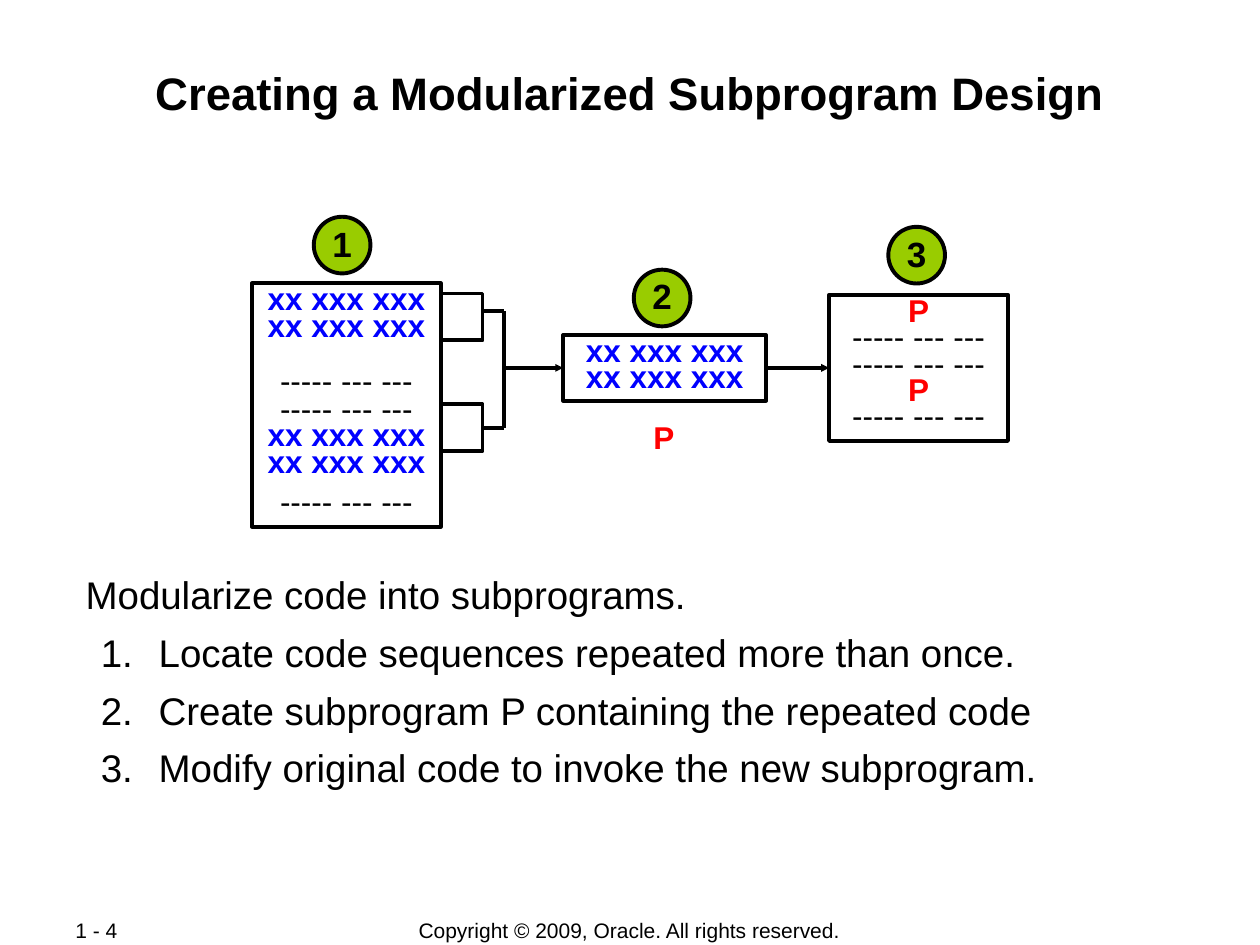
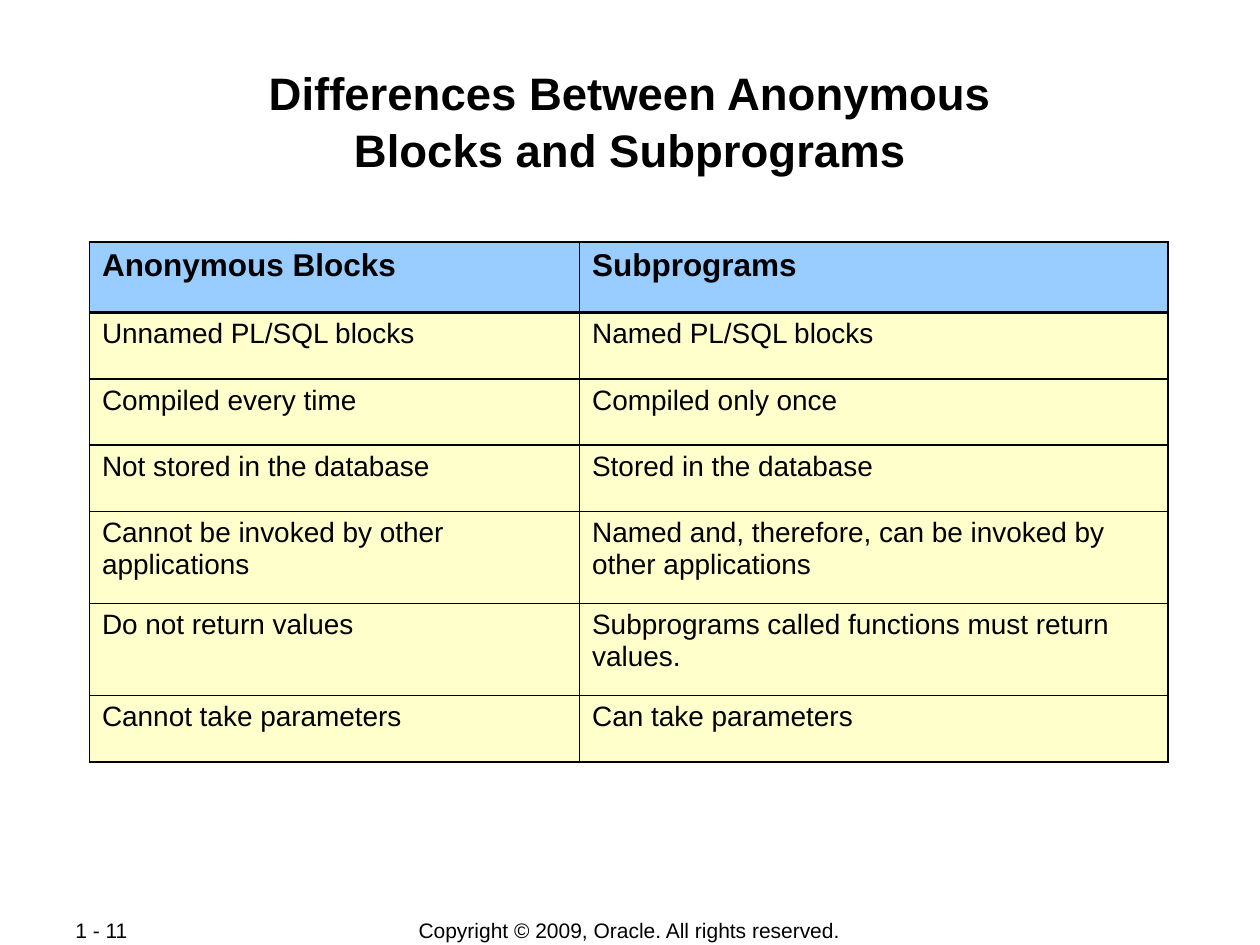
from dataclasses import dataclass

from lxml.etree import SubElement
from pptx import Presentation
from pptx.dml.color import RGBColor
from pptx.enum.shapes import MSO_CONNECTOR, MSO_SHAPE
from pptx.enum.text import MSO_ANCHOR, MSO_AUTO_SIZE, PP_ALIGN
from pptx.oxml.ns import qn
from pptx.util import Emu, Inches, Pt


@dataclass(frozen=True)
class Theme:
    font: str = "Arial"
    ink: str = "000000"
    code: str = "0000FF"
    call: str = "FF0000"
    badge: str = "99CC00"
    header: str = "99CCFF"
    row: str = "FFFFCC"
    title_size: float = 26
    body_size: float = 22
    badge_size: float = 20
    label_size: float = 18
    cell_size: float = 16
    footer_size: float = 12
    line: float = 2.25
    thin_line: float = 1.08


THEME = Theme()
TITLE_BOX = (0.67, 0.49, 8.66, 0.96)
COPYRIGHT_BOX = (2.75, 7.28, 4.49, 0.21)
NUMBER_BOX = (0.5, 7.28, 1.06, 0.21)
COPYRIGHT = "Copyright © 2009, Oracle. All rights reserved."

REPEATED, OTHER, CALL = "xx xxx xxx", "----- --- ---", "P"
CODE_COLORS = {REPEATED: THEME.code, OTHER: THEME.ink, CALL: THEME.call}


# Shared helpers

def color(value):
    return RGBColor.from_string(value)


def within(box, left, top, width, height):
    """Turn lengths relative to a box into slide coordinates."""
    return (box[0] + left, box[1] + top, width, height)


def inches(box):
    return [Inches(length) for length in box]


def place(shape, box):
    shape.left, shape.top, shape.width, shape.height = inches(box)


def add_span(para, text, size, ink=THEME.ink, bold=False):
    span = para.add_run()
    span.text = text
    span.font.name = THEME.font
    span.font.size = Pt(size)
    span.font.bold = bold
    span.font.color.rgb = color(ink)
    return span


def set_frame(frame, side=0.1, ends=0.05, anchor=MSO_ANCHOR.TOP):
    frame.word_wrap = True
    frame.auto_size = MSO_AUTO_SIZE.NONE
    frame.vertical_anchor = anchor
    frame.margin_left = frame.margin_right = Inches(side)
    frame.margin_top = frame.margin_bottom = Inches(ends)


def outline(shape):
    shape.shadow.inherit = False
    shape.fill.background()
    shape.line.color.rgb = color(THEME.ink)
    shape.line.width = Pt(THEME.line)


def add_label(page, box, text, size, align, ink=THEME.ink, bold=False,
              ends=0.0, anchor=MSO_ANCHOR.MIDDLE):
    frame = page.shapes.add_textbox(*inches(box)).text_frame
    set_frame(frame, ends=ends, anchor=anchor)
    para = frame.paragraphs[0]
    para.alignment = align
    add_span(para, text, size, ink, bold)


def add_line(page, start, end, arrow=False):
    line = page.shapes.add_connector(MSO_CONNECTOR.STRAIGHT, *inches(start + end))
    line.line.color.rgb = color(THEME.ink)
    line.line.width = Pt(THEME.line)
    if arrow:
        SubElement(line.line._get_or_add_ln(), qn("a:tailEnd"),
                   type="triangle", w="sm", len="sm")
    SubElement(line._element.spPr, qn("a:effectLst"))
    return line


def add_page(deck, layout, title_lines, number):
    page = deck.slides.add_slide(deck.slide_layouts.get_by_name(layout))
    # Title
    title = page.shapes.title
    place(title, TITLE_BOX)
    set_frame(title.text_frame, 0.01, 0.01)
    para = title.text_frame.paragraphs[0]
    para.alignment = PP_ALIGN.CENTER
    para.line_spacing = 1.04
    for index, text in enumerate(title_lines):
        if index:
            para.add_line_break()
        add_span(para, text, THEME.title_size, bold=True)
    # Footer
    add_label(page, COPYRIGHT_BOX, COPYRIGHT, THEME.footer_size, PP_ALIGN.CENTER)
    add_label(page, NUMBER_BOX, number, THEME.footer_size, PP_ALIGN.LEFT)
    return page


# Subprogram diagram

def add_code_box(page, box, lines):
    """Each line is its text, line spacing and space before."""
    shape = page.shapes.add_shape(MSO_SHAPE.RECTANGLE, *inches(box))
    outline(shape)
    frame = shape.text_frame
    set_frame(frame)
    for index, (text, spacing, gap) in enumerate(lines):
        para = frame.add_paragraph() if index else frame.paragraphs[0]
        para.alignment = PP_ALIGN.CENTER
        para.line_spacing = spacing
        if gap:
            para.space_before = Pt(gap)
        add_span(para, text, THEME.label_size, CODE_COLORS[text], text != OTHER)
    return shape


def add_badge(page, box, text):
    badge = page.shapes.add_shape(MSO_SHAPE.OVAL, *inches(box))
    outline(badge)
    badge.fill.solid()
    badge.fill.fore_color.rgb = color(THEME.badge)
    set_frame(badge.text_frame, 0.05, 0.05, MSO_ANCHOR.MIDDLE)
    para = badge.text_frame.paragraphs[0]
    para.alignment = PP_ALIGN.CENTER
    para.line_spacing = 0.95
    add_span(para, text, THEME.badge_size, bold=True)


def add_bracket(page, box):
    left, top, width, height = box
    right, bottom = left + width, top + height
    builder = page.shapes.build_freeform(Inches(left), Inches(top))
    corners = [(right, top), (right, bottom), (left, bottom)]
    builder.add_line_segments([inches(corner) for corner in corners], close=False)
    outline(builder.convert_to_shape())


def add_diagram(page, box):
    left, top = box[:2]
    # Code before, extracted subprogram, code after
    add_code_box(page, within(box, 0, 0.53, 1.5, 1.93), [
        (REPEATED, 0.7, 0), (REPEATED, 0.7, 0), (OTHER, 0.8, 15), (OTHER, 0.7, 0),
        (REPEATED, 0.7, 0), (REPEATED, 0.7, 0), (OTHER, 1.1, 0)])
    subprogram = add_code_box(page, within(box, 2.47, 0.94, 1.61, 0.52),
                              [(REPEATED, 0.7, 0)] * 2)
    caller = add_code_box(page, within(box, 4.58, 0.62, 1.42, 1.16), [
        (text, 0.7, 0) for text in (CALL, OTHER, OTHER, CALL, OTHER)])
    add_label(page, within(box, 3.02, 1.55, 0.5, 0.4), CALL, THEME.label_size,
              PP_ALIGN.CENTER, THEME.call, True, 0.05, MSO_ANCHOR.TOP)
    # Brackets gathered by a spine
    spine, taps = left + 2, (top + 0.75, top + 1.68)
    for bracket_top, tap in zip((0.61, 1.49), taps):
        add_bracket(page, within(box, 1.5, bracket_top, 0.33, 0.37))
        add_line(page, (left + 1.83, tap), (spine, tap))
    add_line(page, (spine, taps[0]), (spine, taps[1]))
    # Arrows
    middle = top + 1.2
    gather = add_line(page, (spine, middle), (left + 2.47, middle), arrow=True)
    gather.end_connect(subprogram, 1)
    replace = add_line(page, (left + 4.08, middle), (left + 4.58, middle), arrow=True)
    replace.begin_connect(subprogram, 3)
    replace.end_connect(caller, 1)
    # Step badges
    for step, (x, y) in enumerate([(0.49, 0), (3.03, 0.42), (5.05, 0.08)], 1):
        add_badge(page, within(box, x, y, 0.45, 0.45), str(step))


def add_steps(page, box, intro, steps):
    body = page.placeholders[1]
    place(body, box)
    frame = body.text_frame
    set_frame(frame, 0.01, 0.01)
    for index, text in enumerate([intro] + steps):
        para = frame.add_paragraph() if index else frame.paragraphs[0]
        properties = para._p.get_or_add_pPr()
        if index:
            para.level = 1
            properties.set("marL", str(Inches(0.58)))
            properties.set("indent", str(Inches(-0.46)))
            SubElement(properties, qn("a:buFont"), typeface=THEME.font)
            SubElement(properties, qn("a:buAutoNum"), type="arabicPeriod")
        else:
            properties.set("marL", "0")
            properties.set("indent", "0")
            SubElement(properties, qn("a:buNone"))
        para.line_spacing = 1.04
        para.space_before = Pt(5.5 if index else 0)
        add_span(para, text, THEME.body_size)


# Comparison table

def set_borders(cell, top, bottom):
    properties = cell._tc.get_or_add_tcPr()
    widths = {"L": THEME.thin_line, "R": THEME.thin_line, "T": top, "B": bottom}
    for side, width in widths.items():
        line = SubElement(properties, qn(f"a:ln{side}"), w=str(Pt(width)))
        SubElement(SubElement(line, qn("a:solidFill")), qn("a:srgbClr"), val=THEME.ink)


def add_comparison(page, box, column_widths, row_heights, rows):
    table = page.shapes.add_table(len(rows), len(column_widths), *inches(box)).table
    for column, width in zip(table.columns, column_widths):
        column.width = Inches(width)
    for index, (height, texts) in enumerate(zip(row_heights, rows)):
        table.rows[index].height = Inches(height)
        heading = index == 0
        top = THEME.line if index == 1 else THEME.thin_line
        bottom = THEME.line if heading else THEME.thin_line
        for cell, text in zip(table.rows[index].cells, texts):
            set_borders(cell, top, bottom)
            cell.fill.solid()
            cell.fill.fore_color.rgb = color(THEME.header if heading else THEME.row)
            add_span(cell.text_frame.paragraphs[0], text,
                     THEME.label_size if heading else THEME.cell_size, bold=heading)


# Slides

def add_design_slide(deck):
    page = add_page(deck, "Title and Content",
                    ["Creating a Modularized Subprogram Design"], "1 - 4")
    add_diagram(page, (2, 1.72, 6, 2.46))
    add_steps(page, (0.67, 4.51, 8.66, 1.7), "Modularize code into subprograms.", [
        "Locate code sequences repeated more than once.",
        "Create subprogram P containing the repeated code",
        "Modify original code to invoke the new subprogram."])


def add_differences_slide(deck):
    page = add_page(deck, "Title Only",
                    ["Differences Between Anonymous", "Blocks and Subprograms"], "1 - 11")
    add_comparison(
        page, (0.71, 1.92, 8.56, 4.13), (3.89, 4.67),
        (0.56, 0.53, 0.52, 0.53, 0.73, 0.73, 0.53), [
            ("Anonymous Blocks", "Subprograms"),
            ("Unnamed PL/SQL blocks", "Named PL/SQL blocks"),
            ("Compiled every time", "Compiled only once"),
            ("Not stored in the database", "Stored in the database"),
            ("Cannot be invoked by other applications",
             "Named and, therefore, can be invoked by other applications"),
            ("Do not return values", "Subprograms called functions must return values."),
            ("Cannot take parameters", "Can take parameters")])


def main():
    deck = Presentation()
    deck.slide_width, deck.slide_height = Inches(10), Inches(7.5)
    add_design_slide(deck)
    add_differences_slide(deck)
    deck.save("out.pptx")


if __name__ == "__main__":
    main()
